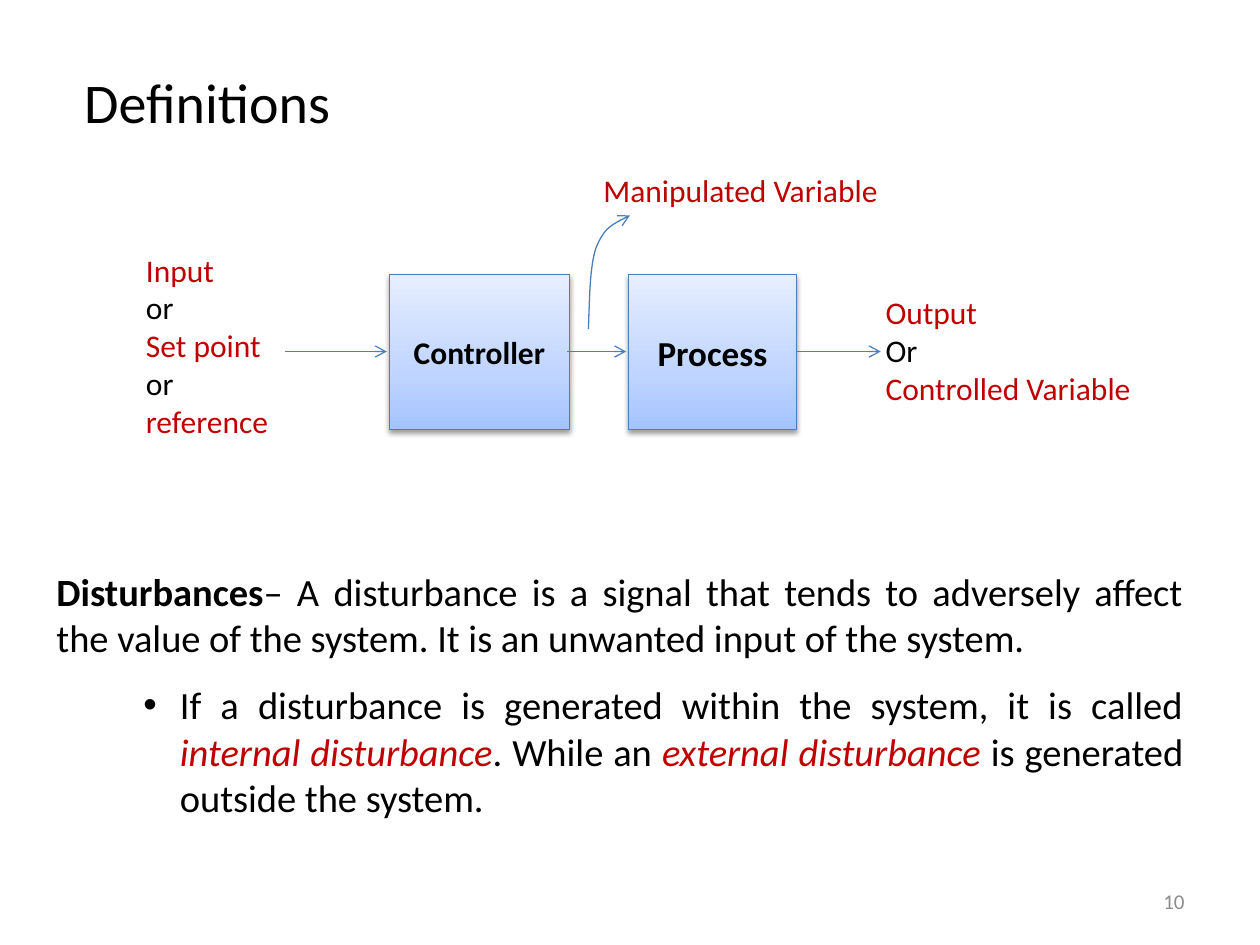
from dataclasses import dataclass

from lxml import etree
from pptx import Presentation
from pptx.dml.color import RGBColor
from pptx.enum.shapes import MSO_CONNECTOR, MSO_SHAPE
from pptx.enum.text import MSO_ANCHOR, PP_ALIGN
from pptx.oxml import parse_xml
from pptx.oxml.ns import qn
from pptx.util import Inches, Pt

LEFT, CENTER, RIGHT, JUSTIFY = PP_ALIGN.LEFT, PP_ALIGN.CENTER, PP_ALIGN.RIGHT, PP_ALIGN.JUSTIFY
TOP, MIDDLE = MSO_ANCHOR.TOP, MSO_ANCHOR.MIDDLE
RECTANGLE, STRAIGHT = MSO_SHAPE.RECTANGLE, MSO_CONNECTOR.STRAIGHT
A_NAMESPACE = 'xmlns:a="http://schemas.openxmlformats.org/drawingml/2006/main"'


@dataclass(frozen=True)
class Theme:
    font: str = "Calibri"
    black: str = "000000"
    red: str = "C00000"
    gray: str = "8C8C8C"
    line: str = "4B7EBC"
    gradient: tuple = ((0, "A4C4FF"), (35, "BFD4FF"), (100, "E6EEFF"))
    title: int = 32
    body: int = 22
    process: int = 20
    label: int = 18
    number: int = 12
    line_width: float = 0.75


THEME = Theme()


def set_font(font, size, color=THEME.black, bold=False):
    font.name = THEME.font
    font.size = Pt(size)
    font.bold = bold
    font.color.rgb = RGBColor.from_string(color)


def add_text(slide, box, lines, size, align=LEFT, anchor=TOP, wrap=False):
    """Add a text box; lines are (text, color) pairs, one per paragraph."""
    frame = slide.shapes.add_textbox(*map(Inches, box)).text_frame
    frame.word_wrap = wrap
    frame.vertical_anchor = anchor
    for index, (text, color) in enumerate(lines):
        paragraph = frame.add_paragraph() if index else frame.paragraphs[0]
        paragraph.text = text
        paragraph.alignment = align
        set_font(paragraph.font, size, color)
    return frame


def add_run(paragraph, text, color=THEME.black, bold=False, italic=False):
    run = paragraph.add_run()
    run.text = text
    set_font(run.font, THEME.body, color, bold)
    run.font.italic = italic


def style_line(shape):
    shape.line.color.rgb = RGBColor.from_string(THEME.line)
    shape.line.width = Pt(THEME.line_width)


def add_arrowhead(shape):
    tail = etree.SubElement(shape.line._get_or_add_ln(), qn("a:tailEnd"))
    tail.set("type", "arrow")


def add_arrow(slide, start_x, end_x, y):
    arrow = slide.shapes.add_connector(
        STRAIGHT, Inches(start_x), Inches(y), Inches(end_x), Inches(y))
    style_line(arrow)
    add_arrowhead(arrow)
    etree.SubElement(arrow._element.spPr, qn("a:effectLst"))


def add_curved_arrow(slide, start, curves):
    """Add an open path of cubic curves, each given as two controls and an end."""
    ends = [curve[-1] for curve in curves]
    points = [start] + ends
    left, top = (min(values) for values in zip(*points))
    builder = slide.shapes.build_freeform(*map(Inches, start), scale=1.0)
    builder.add_line_segments([tuple(map(Inches, end)) for end in ends], close=False)
    shape = builder.convert_to_shape()
    shape.shadow.inherit = False
    shape.fill.background()
    style_line(shape)
    add_arrowhead(shape)
    # Turn each straight segment into its cubic curve
    for segment, curve in zip(list(shape._element.iter(qn("a:lnTo"))), curves):
        cubic = etree.Element(qn("a:cubicBezTo"))
        for x, y in curve:
            point = etree.SubElement(cubic, qn("a:pt"))
            point.set("x", str(Inches(x) - Inches(left)))
            point.set("y", str(Inches(y) - Inches(top)))
        segment.getparent().replace(segment, cubic)


def add_block(slide, box, text, size):
    """Add a block with an upward gradient and a soft shadow below it."""
    shape = slide.shapes.add_shape(RECTANGLE, *map(Inches, box))
    style_line(shape)
    shape.shadow.inherit = False
    properties = shape._element.spPr
    stops = "".join(
        f'<a:gs pos="{position * 1000}"><a:srgbClr val="{color}"/></a:gs>'
        for position, color in THEME.gradient)
    properties.find(qn("a:prstGeom")).addnext(parse_xml(
        f'<a:gradFill {A_NAMESPACE} rotWithShape="1"><a:gsLst>{stops}</a:gsLst>'
        '<a:lin ang="16200000" scaled="0"/></a:gradFill>'))
    properties.find(qn("a:effectLst")).append(parse_xml(
        f'<a:outerShdw {A_NAMESPACE} blurRad="{Pt(3.1)}" dist="{Pt(1.6)}" dir="5400000" '
        'rotWithShape="0"><a:srgbClr val="000000"><a:alpha val="38000"/></a:srgbClr>'
        '</a:outerShdw>'))
    frame = shape.text_frame
    frame.vertical_anchor = MIDDLE
    paragraph = frame.paragraphs[0]
    paragraph.text = text
    paragraph.alignment = CENTER
    set_font(paragraph.font, size, bold=True)


def set_bullet(paragraph, margin, indent):
    properties = paragraph._p.get_or_add_pPr()
    properties.set("marL", str(Inches(margin)))
    properties.set("indent", str(Inches(indent)))
    etree.SubElement(properties, qn("a:buFont")).set("typeface", "Arial")
    etree.SubElement(properties, qn("a:buChar")).set("char", "•")


def add_disturbances(slide):
    frame = add_text(slide, (0.35, 4.46, 9.14, 2.12), [], THEME.body, wrap=True)
    definition = frame.paragraphs[0]
    definition.alignment = JUSTIFY
    add_run(definition, "Disturbances", bold=True)
    add_run(definition, "– A disturbance is a signal that tends to adversely affect the value "
                        "of the system. It is an unwanted input of the system.")

    kinds = frame.add_paragraph()
    kinds.alignment = JUSTIFY
    kinds.space_before = Pt(12)
    set_bullet(kinds, 0.98, -0.29)
    add_run(kinds, "If a disturbance is generated within the system, it is called ")
    add_run(kinds, "internal disturbance", THEME.red, italic=True)
    add_run(kinds, ". While an ")
    add_run(kinds, "external disturbance ", THEME.red, italic=True)
    add_run(kinds, "is generated outside the system.")


def add_diagram(slide):
    red, black = THEME.red, THEME.black
    # Blocks
    add_block(slide, (3.09, 2.18, 1.43, 1.23), "Controller", THEME.label)
    add_block(slide, (4.99, 2.18, 1.33, 1.23), "Process", THEME.process)
    # Signal flow
    for start_x, end_x in ((2.26, 3.07), (4.5, 4.97), (6.32, 6.99)):
        add_arrow(slide, start_x, end_x, 2.79)
    add_curved_arrow(slide, (4.67, 2.61), [
        ((4.68, 2.37), (4.68, 2.12), (4.73, 1.97)),
        ((4.79, 1.82), (4.89, 1.76), (5, 1.71))])
    # Signal names
    add_text(slide, (1.06, 1.94, 1.18, 1.62),
             [("Input", red), ("or", black), ("Set point", red), ("or", black),
              ("reference", red)], THEME.label)
    add_text(slide, (6.93, 2.28, 2.17, 1.01),
             [("Output", red), ("Or", black), ("Controlled Variable", red)], THEME.label)
    add_text(slide, (4.69, 1.31, 2.41, 0.4), [("Manipulated Variable", red)], THEME.label)


def main():
    presentation = Presentation()
    presentation.slide_width = Inches(10)
    presentation.slide_height = Inches(7.5)
    slide = presentation.slides.add_slide(presentation.slide_layouts[6])

    add_text(slide, (0.57, 0.49, 2.18, 0.64), [("Definitions", THEME.black)], THEME.title)
    add_disturbances(slide)
    add_diagram(slide)
    # Slide number
    add_text(slide, (7.17, 6.95, 2.33, 0.4), [("10", THEME.gray)], THEME.number,
             align=RIGHT, anchor=MIDDLE, wrap=True)
    presentation.save("out.pptx")


if __name__ == "__main__":
    main()
